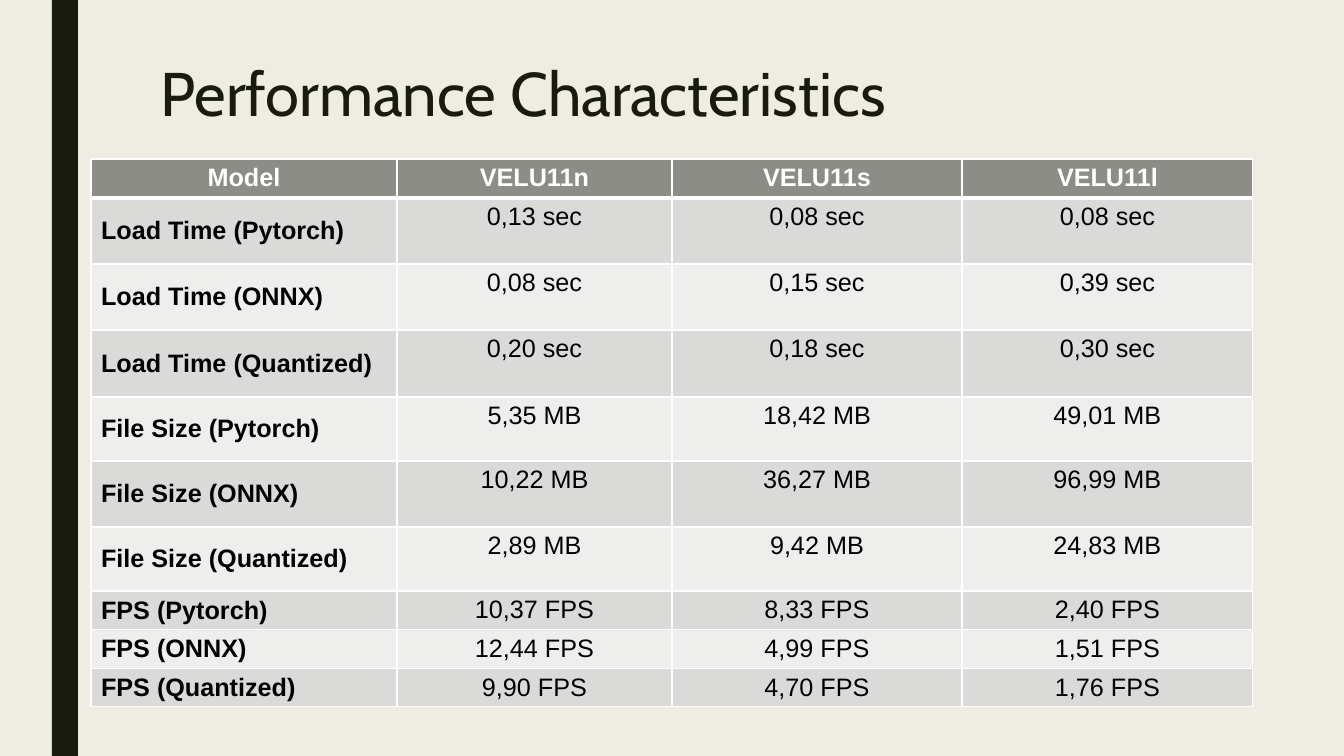
from pptx import Presentation
from pptx.dml.color import RGBColor
from pptx.enum.shapes import MSO_SHAPE
from pptx.enum.text import MSO_ANCHOR, PP_ALIGN
from pptx.oxml import parse_xml
from pptx.oxml.ns import nsdecls
from pptx.util import Emu, Pt

THEME = {
    "background": "EFEDE3",
    "dark": "191B0E",
    "header": "8C8D86",
    "bands": ["DADBD9", "EEEEED"],
    "border": "FFFFFF",
    "header_text": "FFFFFF",
    "body_text": "000000",
    "title_font": "Cabin",
    "table_font": "Arial",
    "title_size": 44,
    "table_size": 18,
}


def px(length):
    return Emu(round(length * 914400 / 100.8))


def add_border(cell, side, points):
    cell._tc.get_or_add_tcPr().append(parse_xml(
        f'<a:{side} {nsdecls("a")} w="{Pt(points)}"><a:solidFill>'
        f'<a:srgbClr val="{THEME["border"]}"/></a:solidFill></a:{side}>'
    ))


measurements = [
    ("Model", "VELU11n", "VELU11s", "VELU11l"),
    ("Load Time (Pytorch)", "0,13 sec", "0,08 sec", "0,08 sec"),
    ("Load Time (ONNX)", "0,08 sec", "0,15 sec", "0,39 sec"),
    ("Load Time (Quantized)", "0,20 sec", "0,18 sec", "0,30 sec"),
    ("File Size (Pytorch)", "5,35 MB", "18,42 MB", "49,01 MB"),
    ("File Size (ONNX)", "10,22 MB", "36,27 MB", "96,99 MB"),
    ("File Size (Quantized)", "2,89 MB", "9,42 MB", "24,83 MB"),
    ("FPS (Pytorch)", "10,37 FPS", "8,33 FPS", "2,40 FPS"),
    ("FPS (ONNX)", "12,44 FPS", "4,99 FPS", "1,51 FPS"),
    ("FPS (Quantized)", "9,90 FPS", "4,70 FPS", "1,76 FPS"),
]
column_widths = [306, 275, 290, 291]
row_heights = [39, 66, 66, 67, 64, 66, 64, 39, 38, 38]

presentation = Presentation()
presentation.slide_width = px(1344)
presentation.slide_height = px(756)
slide = presentation.slides.add_slide(presentation.slide_layouts[5])
slide.background.fill.solid()
slide.background.fill.fore_color.rgb = RGBColor.from_string(THEME["background"])

side_bar = slide.shapes.add_shape(MSO_SHAPE.RECTANGLE, px(52), px(0), px(26), px(756))
side_bar.shadow.inherit = False
side_bar.fill.solid()
side_bar.fill.fore_color.rgb = RGBColor.from_string(THEME["dark"])
side_bar.line.fill.background()

title = slide.shapes.title
title.left, title.top, title.width, title.height = px(150), px(50), px(811), px(85)
title.text_frame.text = "Performance Characteristics"
title.text_frame.word_wrap = True
title.text_frame.vertical_anchor = MSO_ANCHOR.TOP
heading = title.text_frame.paragraphs[0]
heading.alignment = PP_ALIGN.LEFT
heading_font = heading.runs[0].font
heading_font.name = THEME["title_font"]
heading_font.size = Pt(THEME["title_size"])
heading_font.color.rgb = RGBColor.from_string(THEME["dark"])

performance = slide.shapes.add_table(
    len(measurements), len(column_widths), px(91), px(159),
    px(sum(column_widths)), px(sum(row_heights)),
).table
for column, width in zip(performance.columns, column_widths):
    column.width = px(width)
for row, height in zip(performance.rows, row_heights):
    row.height = px(height)

for row_index, values in enumerate(measurements):
    is_header = row_index == 0
    band = THEME["header"] if is_header else THEME["bands"][(row_index - 1) % 2]
    ink = THEME["header_text"] if is_header else THEME["body_text"]
    for column_index, value in enumerate(values):
        is_label = column_index == 0 and not is_header
        cell = performance.cell(row_index, column_index)
        cell.text_frame.text = value
        cell.vertical_anchor = MSO_ANCHOR.MIDDLE if is_label else MSO_ANCHOR.TOP
        paragraph = cell.text_frame.paragraphs[0]
        paragraph.alignment = PP_ALIGN.LEFT if is_label else PP_ALIGN.CENTER
        font = paragraph.runs[0].font
        font.name = THEME["table_font"]
        font.size = Pt(THEME["table_size"])
        font.bold = is_header or is_label
        font.color.rgb = RGBColor.from_string(ink)
        add_border(cell, "lnL", 1)
        add_border(cell, "lnR", 1)
        add_border(cell, "lnT", 3 if row_index == 1 else 1)
        add_border(cell, "lnB", 3 if is_header else 1)
        cell.fill.solid()
        cell.fill.fore_color.rgb = RGBColor.from_string(band)

presentation.save("out.pptx")
